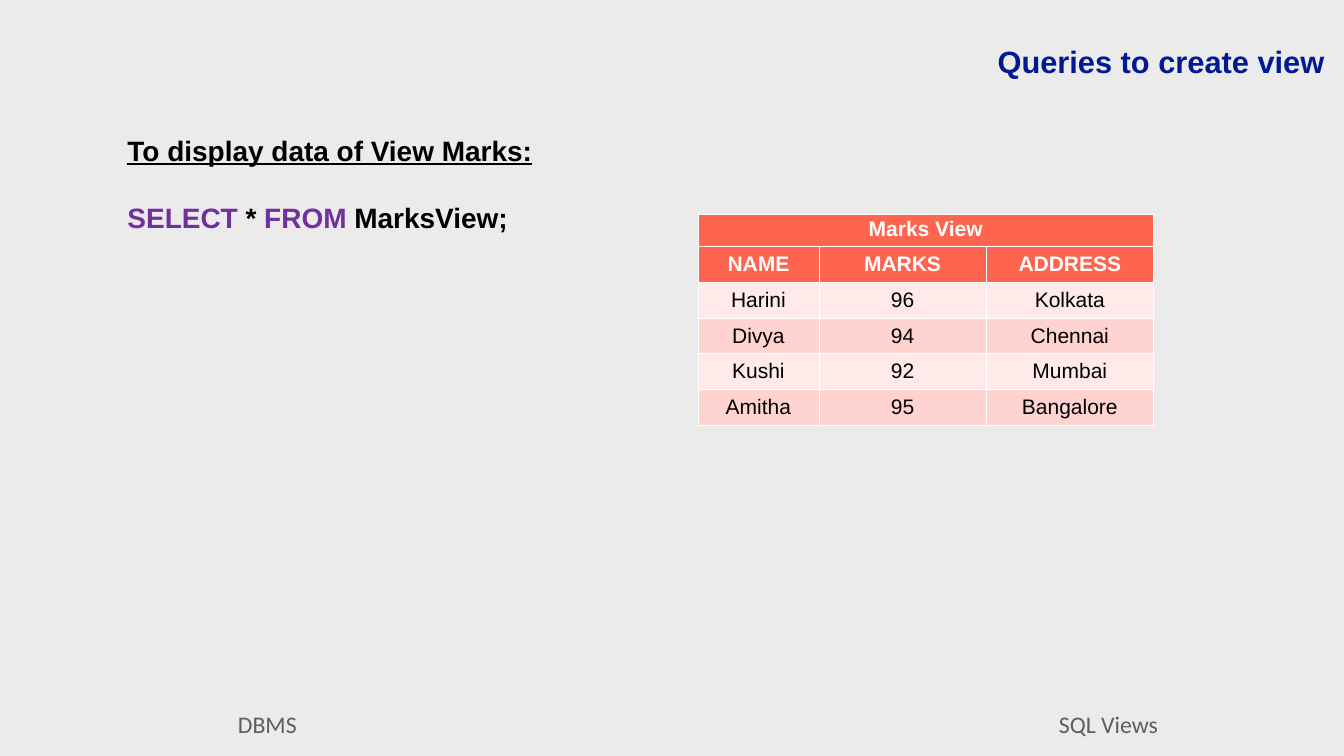
"""Build the slide that shows the query and rows of the marks view."""
from lxml.etree import SubElement
from pptx import Presentation
from pptx.dml.color import RGBColor
from pptx.enum.shapes import MSO_SHAPE as Shape
from pptx.enum.text import MSO_ANCHOR as Anchor, MSO_AUTO_SIZE as AutoSize, PP_ALIGN as Align
from pptx.oxml import parse_xml
from pptx.oxml.ns import nsdecls, qn
from pptx.util import Inches, Pt

TITLE = "Queries to create view"
HEADING = "To display data of View Marks:"
QUERY = [("SELECT", "keyword"), (" * ", "text"), ("FROM ", "keyword"), ("MarksView;", "text")]
TABLE_TITLE = "Marks View"
ROWS = [
    ("NAME", "MARKS", "ADDRESS"),
    ("Harini", "96", "Kolkata"),
    ("Divya", "94", "Chennai"),
    ("Kushi", "92", "Mumbai"),
    ("Amitha", "95", "Bangalore"),
]
FOOTERS = [("DBMS", 0.42), ("SQL Views", 17.11)]

THEME = {
    "colors": {"background": "EBEBEB", "title": "011993", "text": "000000", "keyword": "7030A0",
               "footer": "5E5E5E", "header": "FF644E", "light": "FFEAE9", "dark": "FFD3D0",
               "white": "FFFFFF"},
    "fonts": {
        "title": {"name": "Arial", "size": Pt(44), "bold": True},
        "heading": {"name": "Arial", "size": Pt(40), "bold": True, "underline": True},
        "query": {"name": "Arial", "size": Pt(40), "bold": True, "underline": False},
        "header": {"name": "Arial", "size": Pt(30), "bold": True},
        "cell": {"name": "Arial", "size": Pt(30), "bold": False},
        "footer": {"name": "Calibri", "size": Pt(34), "bold": False},
    },
}
COLUMN_WIDTHS = (2.4, 3.32, 3.32)
TITLE_ROW, DATA_ROW = 0.63, 0.71


def color(name):
    return RGBColor.from_string(THEME["colors"][name])


def assign(target, values):
    for name, value in values.items():
        setattr(target, name, value)


def place(shape, left, top, width, height):
    assign(shape, {"left": Inches(left), "top": Inches(top),
                   "width": Inches(width), "height": Inches(height)})


def set_margins(frame, size):
    assign(frame, {f"margin_{side}": Inches(size) for side in ("left", "right", "top", "bottom")})


def add_span(para, text, style, color_name):
    span = para.add_run()
    span.text = text
    assign(span.font, THEME["fonts"][style])
    span.font.color.rgb = color(color_name)


def fill_solid(target, color_name):
    target.fill.solid()
    target.fill.fore_color.rgb = color(color_name)


def add_borders(cell, bottom_width):
    properties = cell._tc.get_or_add_tcPr()
    for index, side in enumerate("LRTB"):
        width = bottom_width if side == "B" else 1
        properties.insert(index, parse_xml(
            f'<a:ln{side} {nsdecls("a")} w="{Pt(width)}"><a:solidFill>'
            f'<a:srgbClr val="{THEME["colors"]["white"]}"/></a:solidFill></a:ln{side}>'))


def add_title(slide):
    title = slide.shapes.title
    place(title, 9.73, 0.78, 16.62, 0.85)
    frame = title.text_frame
    assign(frame, {"auto_size": AutoSize.NONE, "vertical_anchor": Anchor.MIDDLE})
    set_margins(frame, 0.06)
    para = frame.paragraphs[0]
    para.alignment = Align.RIGHT
    add_span(para, TITLE, "title", "title")


def add_query(slide):
    body = slide.placeholders[1]
    place(body, 2.43, 2.59, 22.45, 2.79)
    frame = body.text_frame
    assign(frame, {"auto_size": AutoSize.NONE, "vertical_anchor": Anchor.TOP})
    heading, query = frame.paragraphs[0], frame.add_paragraph()
    for para, gap in ((heading, 0), (query, 48)):
        assign(para, {"alignment": Align.LEFT, "space_before": Pt(gap), "line_spacing": 1.0})
        properties = para._p.get_or_add_pPr()
        properties.set("marL", "0")
        properties.set("indent", "0")
        SubElement(properties, qn("a:buNone"))
    add_span(heading, HEADING, "heading", "text")
    for text, color_name in QUERY:
        add_span(query, text, "query", color_name)


def add_cell(cell, text, style, text_color, fill, anchor=Anchor.MIDDLE):
    fill_solid(cell, fill)
    cell.vertical_anchor = anchor
    para = cell.text_frame.paragraphs[0]
    para.alignment = Align.CENTER
    add_span(para, text, style, text_color)


def add_marks_table(slide):
    heights = [TITLE_ROW] + [DATA_ROW] * len(ROWS)
    table = slide.shapes.add_table(
        len(heights), len(COLUMN_WIDTHS), Inches(13.85), Inches(4.26),
        Inches(sum(COLUMN_WIDTHS)), Inches(sum(heights))).table
    for column, width in zip(table.columns, COLUMN_WIDTHS):
        column.width = Inches(width)
    for row, height in zip(table.rows, heights):
        row.height = Inches(height)
    table.cell(0, 0).merge(table.cell(0, len(COLUMN_WIDTHS) - 1))
    add_cell(table.cell(0, 0), TABLE_TITLE, "header", "white", "header", Anchor.TOP)
    for row, values in enumerate(ROWS, start=1):
        look = (("header", "white", "header") if row == 1
                else ("cell", "text", "dark" if row % 2 else "light"))
        for column, value in enumerate(values):
            add_cell(table.cell(row, column), value, *look)
    for row in range(len(heights)):
        for column in range(len(COLUMN_WIDTHS)):
            add_borders(table.cell(row, column), 1 if row else 3)


def add_footers(slide):
    for text, left in FOOTERS:
        box = slide.shapes.add_shape(
            Shape.RECTANGLE, Inches(left), Inches(13.97), Inches(9.77), Inches(0.78))
        box.shadow.inherit = False
        fill_solid(box, "background")
        box.line.fill.background()
        frame = box.text_frame
        frame.vertical_anchor = Anchor.MIDDLE
        set_margins(frame, 0)
        para = frame.paragraphs[0]
        para.alignment = Align.CENTER
        add_span(para, text, "footer", "footer")


def main():
    deck = Presentation()
    assign(deck, {"slide_width": Inches(26.67), "slide_height": Inches(15)})
    page = deck.slides.add_slide(deck.slide_layouts[1])
    fill_solid(page.background, "background")
    add_footers(page)
    add_title(page)
    add_query(page)
    add_marks_table(page)
    deck.save("out.pptx")


if __name__ == "__main__":
    main()
